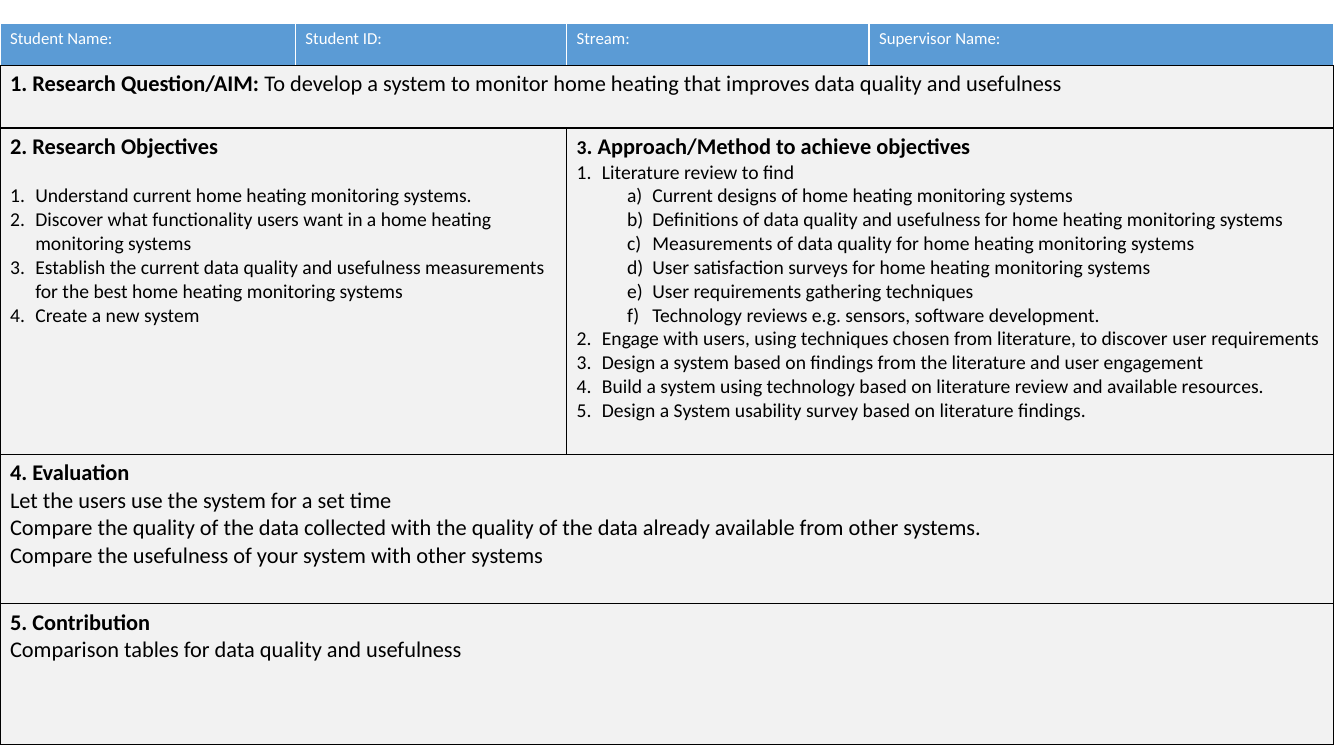
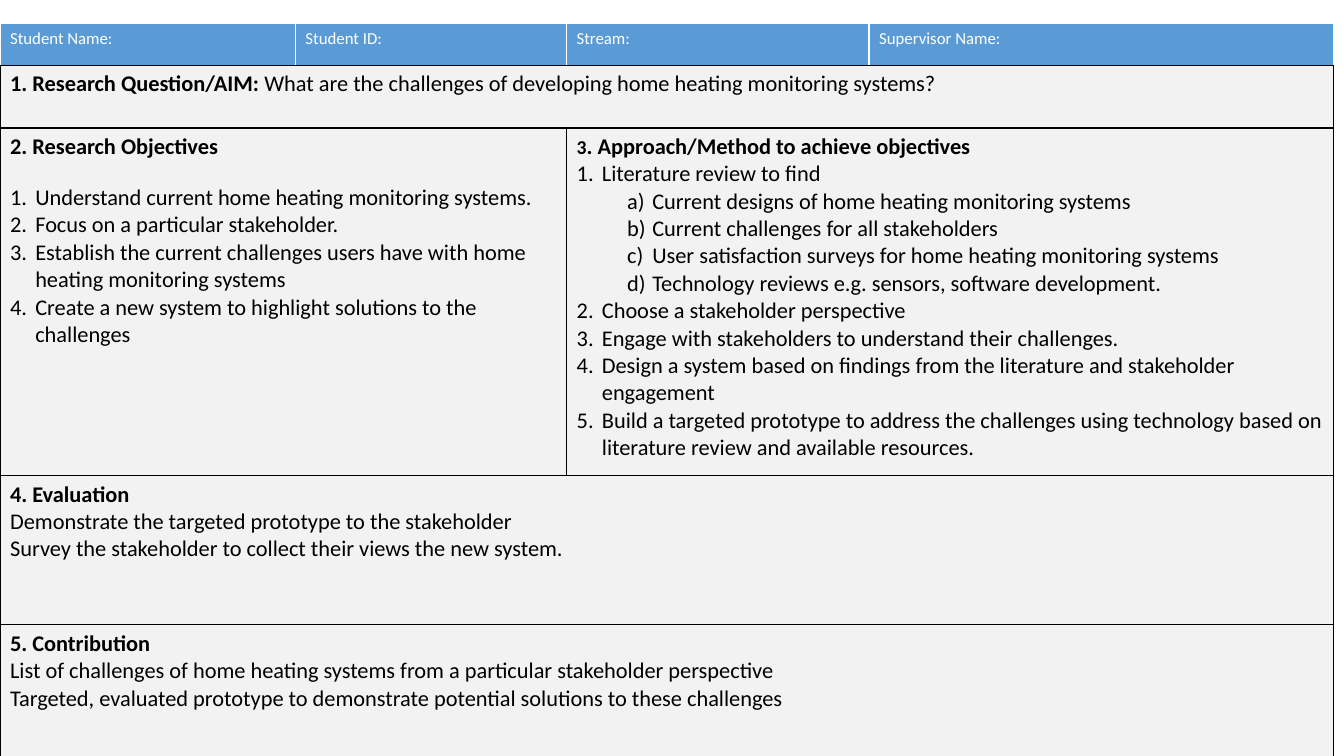
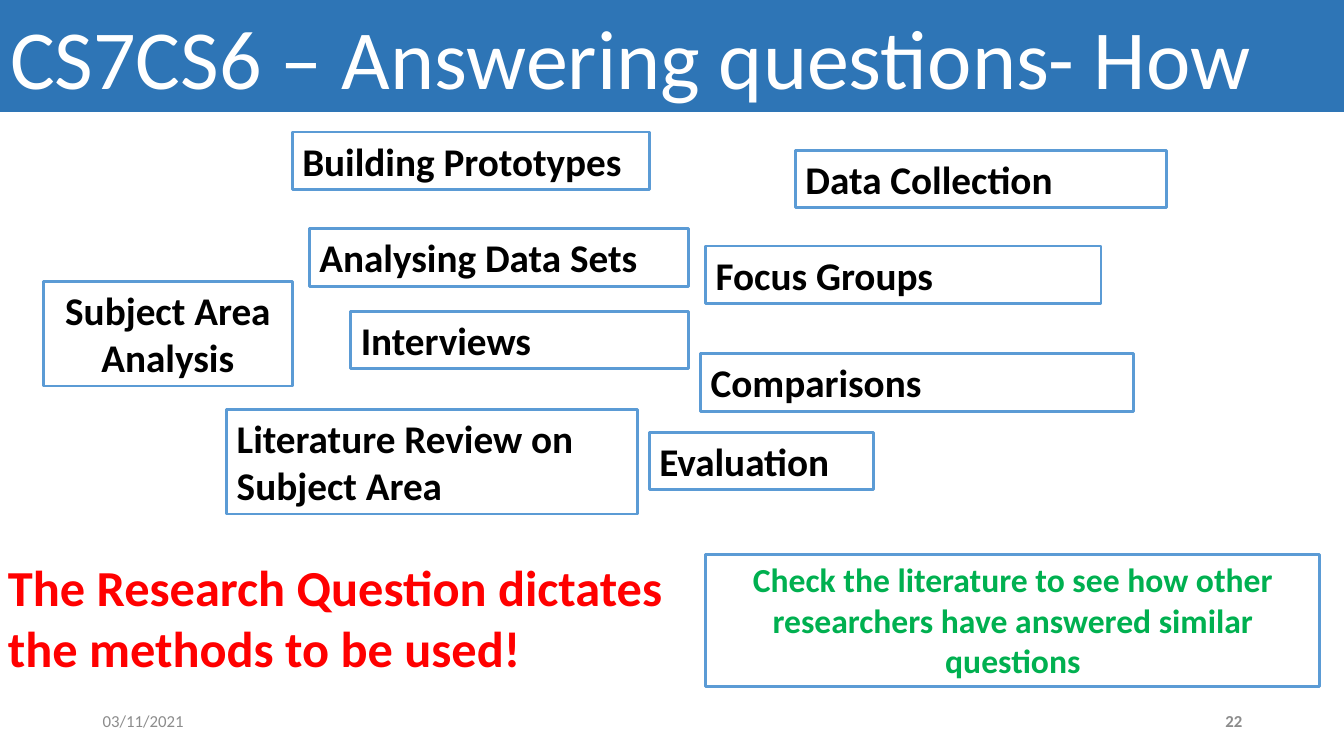
from lxml import etree
from pptx import Presentation
from pptx import util as u
from pptx.dml.color import RGBColor
from pptx.enum import shapes, text
from pptx.oxml import ns

COLORS = {
    "header": "5B9BD5",
    "body": "F2F2F2",
    "band": "2E75B6",
    "white": "FFFFFF",
    "black": "000000",
    "warning": "FF0000",
    "advice": "00B050",
    "footer": "8C8C8C",
}
FONT = "Calibri"
LEFT, CENTER, RIGHT = text.PP_ALIGN.LEFT, text.PP_ALIGN.CENTER, text.PP_ALIGN.RIGHT
COLUMN_WIDTHS = (2.93, 2.69, 3, 4.61)
HEADER_LABELS = ("Student Name:", "Student ID:", "Stream:", "Supervisor Name:")

HEATING_SYSTEM = {
    "aim": "To develop a system to monitor home heating that improves data quality and usefulness",
    "list_size": 14,
    "list_height": 3.24,
    "objectives": [
        "Understand current home heating monitoring systems.",
        "Discover what functionality users want in a home heating monitoring systems",
        "Establish the current data quality and usefulness measurements for the best home heating monitoring systems",
        "Create a new system",
    ],
    "review": [
        "Current designs of home heating monitoring systems",
        "Definitions of data quality and usefulness for home heating monitoring systems",
        "Measurements of data quality for home heating monitoring systems",
        "User satisfaction surveys for home heating monitoring systems",
        "User requirements gathering techniques",
        "Technology reviews e.g. sensors, software development.",
    ],
    "steps": [
        "Engage with users, using techniques chosen from literature, to discover user requirements",
        "Design a system based on findings from the literature and user engagement",
        "Build a system using technology based on literature review and available resources.",
        "Design a System usability survey based on literature findings.",
    ],
    "evaluation": [
        "Let the users use the system for a set time",
        "Compare the quality of the data collected with the quality of the data already available from other systems.",
        "Compare the usefulness of your system with other systems",
    ],
    "contribution": ["Comparison tables for data quality and usefulness"],
}

HEATING_CHALLENGES = {
    "aim": "What are the challenges of developing home heating monitoring systems?",
    "list_size": 16,
    "list_height": 3.45,
    "objectives": [
        "Understand current home heating monitoring systems.",
        "Focus on a particular stakeholder.",
        "Establish the current challenges users have with home heating monitoring systems",
        "Create a new system to highlight solutions to the challenges",
    ],
    "review": [
        "Current designs of home heating monitoring systems",
        "Current challenges for all stakeholders",
        "User satisfaction surveys for home heating monitoring systems",
        "Technology reviews e.g. sensors, software development.",
    ],
    "steps": [
        "Choose a stakeholder perspective",
        "Engage with stakeholders to understand their challenges.",
        "Design a system based on findings from the literature and stakeholder engagement",
        "Build a targeted prototype to address the challenges using technology based on literature review and available resources.",
    ],
    "evaluation": [
        "Demonstrate the targeted prototype to the stakeholder",
        "Survey the stakeholder to collect their views the new system.",
    ],
    "contribution": [
        "List of challenges of home heating systems from a particular stakeholder perspective",
        "Targeted, evaluated prototype to demonstrate potential solutions to these challenges",
    ],
}

METHODS = [
    ("Analysing Data Sets", (3.07, 2.27, 3.76, 0.57), LEFT),
    ("Interviews", (3.48, 3.09, 3.35, 0.57), LEFT),
    ("Focus Groups", (7, 2.44, 3.92, 0.57), LEFT),
    ("Comparisons", (6.95, 3.51, 4.29, 0.57), LEFT),
    ("Literature Review on\nSubject Area", (2.25, 4.06, 4.07, 1.04), LEFT),
    ("Data Collection", (7.89, 1.49, 3.68, 0.57), LEFT),
    ("Building Prototypes", (2.9, 1.31, 3.54, 0.57), LEFT),
    ("Evaluation", (6.44, 4.29, 2.22, 0.57), LEFT),
    ("Subject Area Analysis", (0.43, 2.79, 2.47, 1.04), CENTER),
]


def rgb(name):
    return RGBColor.from_string(COLORS[name])


def inches(box):
    return [u.Inches(length) for length in box]


def write(frame, words, size=16, color="black", bold=False, align=LEFT, same_line=False):
    for line in words.split("\n"):
        paragraph = frame.paragraphs[-1]
        if paragraph.runs and not same_line:
            paragraph = frame.add_paragraph()
        paragraph.alignment = align
        run = paragraph.add_run()
        run.text = line
        run.font.name = FONT
        run.font.size = u.Pt(size)
        run.font.bold = bold
        run.font.color.rgb = rgb(color)
    return paragraph


def write_numbered(frame, items, size, level=0):
    for item in items:
        paragraph = write(frame, item, size=size)
        paragraph.level = level
        props = paragraph._p.get_or_add_pPr()
        props.set("marL", str(u.Inches(0.25 + 0.5 * level)))
        props.set("indent", str(u.Inches(-0.25)))
        etree.SubElement(props, ns.qn("a:buFont"), typeface="+mj-lt")
        scheme = "alphaLcParenR" if level else "arabicPeriod"
        etree.SubElement(props, ns.qn("a:buAutoNum"), type=scheme)


def style_cell(cell, fill, border):
    cell.fill.solid()
    cell.fill.fore_color.rgb = rgb(fill)
    sides = {"lnL": border, "lnR": border, "lnT": border, "lnB": "black"}
    for position, (side, color) in enumerate(sides.items()):
        edge = etree.Element(ns.qn("a:" + side), w=str(u.Pt(1)))
        solid = etree.SubElement(edge, ns.qn("a:solidFill"))
        etree.SubElement(solid, ns.qn("a:srgbClr"), val=COLORS[color])
        cell._tc.get_or_add_tcPr().insert(position, edge)


def add_plan_grid(slide, box, row_heights):
    grid = slide.shapes.add_table(len(row_heights), len(COLUMN_WIDTHS), *inches(box)).table
    grid.first_row = grid.horz_banding = False
    for column, width in zip(grid.columns, COLUMN_WIDTHS):
        column.width = u.Inches(width)
    for index, height in enumerate(row_heights):
        grid.rows[index].height = u.Inches(height)
        for cell in grid.rows[index].cells:
            style_cell(cell, *(("body", "black") if index else ("header", "white")))
    for row, first, last in ((1, 0, 3), (2, 0, 1), (2, 2, 3), (3, 0, 3), (4, 0, 3)):
        grid.cell(row, first).merge(grid.cell(row, last))
    return grid


def add_plan_slide(prs, plan):
    slide = prs.slides.add_slide(prs.slide_layouts[6])
    row_heights = (0.42, 0.62, plan["list_height"], 1.48, 1.4)
    box = (0, 0.23, sum(COLUMN_WIDTHS), sum(row_heights))
    grid = add_plan_grid(slide, box, row_heights)
    for column, label in enumerate(HEADER_LABELS):
        write(grid.cell(0, column).text_frame, label, size=12, color="white")

    aim = grid.cell(1, 0).text_frame
    write(aim, "1. Research Question/AIM: ", bold=True)
    write(aim, plan["aim"], same_line=True)

    objectives = grid.cell(2, 0).text_frame
    write(objectives, "2. Research Objectives", bold=True).space_after = u.Pt(17)
    write_numbered(objectives, plan["objectives"], plan["list_size"])

    approach = grid.cell(2, 2).text_frame
    write(approach, "3", size=14, bold=True)
    write(approach, ". Approach/Method to achieve objectives", bold=True, same_line=True)
    write_numbered(approach, ["Literature review to find"], plan["list_size"])
    write_numbered(approach, plan["review"], plan["list_size"], level=1)
    write_numbered(approach, plan["steps"], plan["list_size"])

    for row, heading, key in ((3, "4. Evaluation", "evaluation"), (4, "5. Contribution", "contribution")):
        section = grid.cell(row, 0).text_frame
        write(section, heading, bold=True)
        write(section, "\n".join(plan[key]))


def add_title_band(slide, words, box):
    title = slide.shapes.title
    title.left, title.top, title.width, title.height = inches(box)
    title.fill.solid()
    title.fill.fore_color.rgb = rgb("band")
    title.text_frame.vertical_anchor = text.MSO_ANCHOR.TOP
    title.text_frame.auto_size = text.MSO_AUTO_SIZE.NONE
    write(title.text_frame, words, size=60, color="white")


def add_method_box(slide, words, box, **style):
    method = slide.shapes.add_shape(shapes.MSO_SHAPE.RECTANGLE, *inches(box))
    method.shadow.inherit = False
    method.fill.background()
    method.line.color.rgb = rgb("header")
    method.line.width = u.Pt(2)
    method.text_frame.word_wrap = True
    method.text_frame.vertical_anchor = text.MSO_ANCHOR.TOP
    write(method.text_frame, words, bold=True, **style)


def add_note(slide, words, box, anchor=text.MSO_ANCHOR.TOP, **style):
    frame = slide.shapes.add_textbox(*inches(box)).text_frame
    frame.word_wrap = True
    frame.vertical_anchor = anchor
    write(frame, words, **style)


def add_footer(slide, date, number, top):
    footer_style = dict(anchor=text.MSO_ANCHOR.MIDDLE, size=12, color="footer")
    add_note(slide, date, (0.92, top, 3, 0.4), **footer_style)
    add_note(slide, number, (9.42, top, 3, 0.4), bold=True, align=RIGHT, **footer_style)


def add_methods_slide(prs):
    slide = prs.slides.add_slide(prs.slide_layouts[5])
    add_title_band(slide, "CS7CS6 – Answering questions- How", (0, 0, 13.33, 1.11))
    for words, box, align in METHODS:
        add_method_box(slide, words, box, size=28, align=align)
    add_note(slide, "The Research Question dictates the methods to be used!",
             (-0.02, 5.47, 7.02, 1.31), size=36, color="warning", bold=True)
    add_method_box(slide, "Check the literature to see how other researchers have answered similar questions",
                   (7, 5.5, 6.09, 1.31), size=24, color="advice", align=CENTER)
    add_footer(slide, "03/11/2021", "22", 6.95)


def main():
    prs = Presentation()
    prs.slide_width, prs.slide_height = inches((13.33, 7.5))
    for plan in (HEATING_SYSTEM, HEATING_CHALLENGES):
        add_plan_slide(prs, plan)
    add_methods_slide(prs)
    prs.save("out.pptx")


if __name__ == "__main__":
    main()
